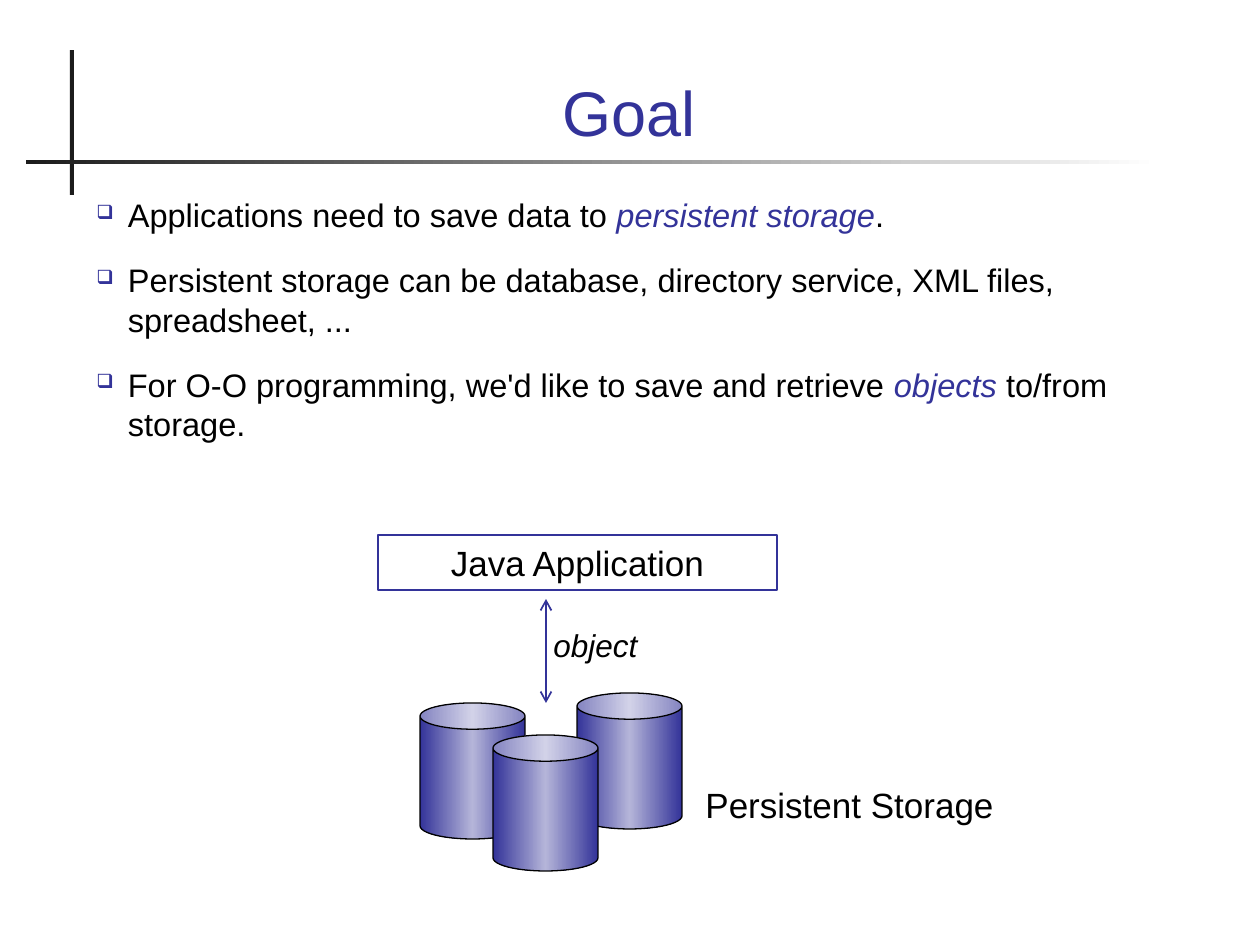
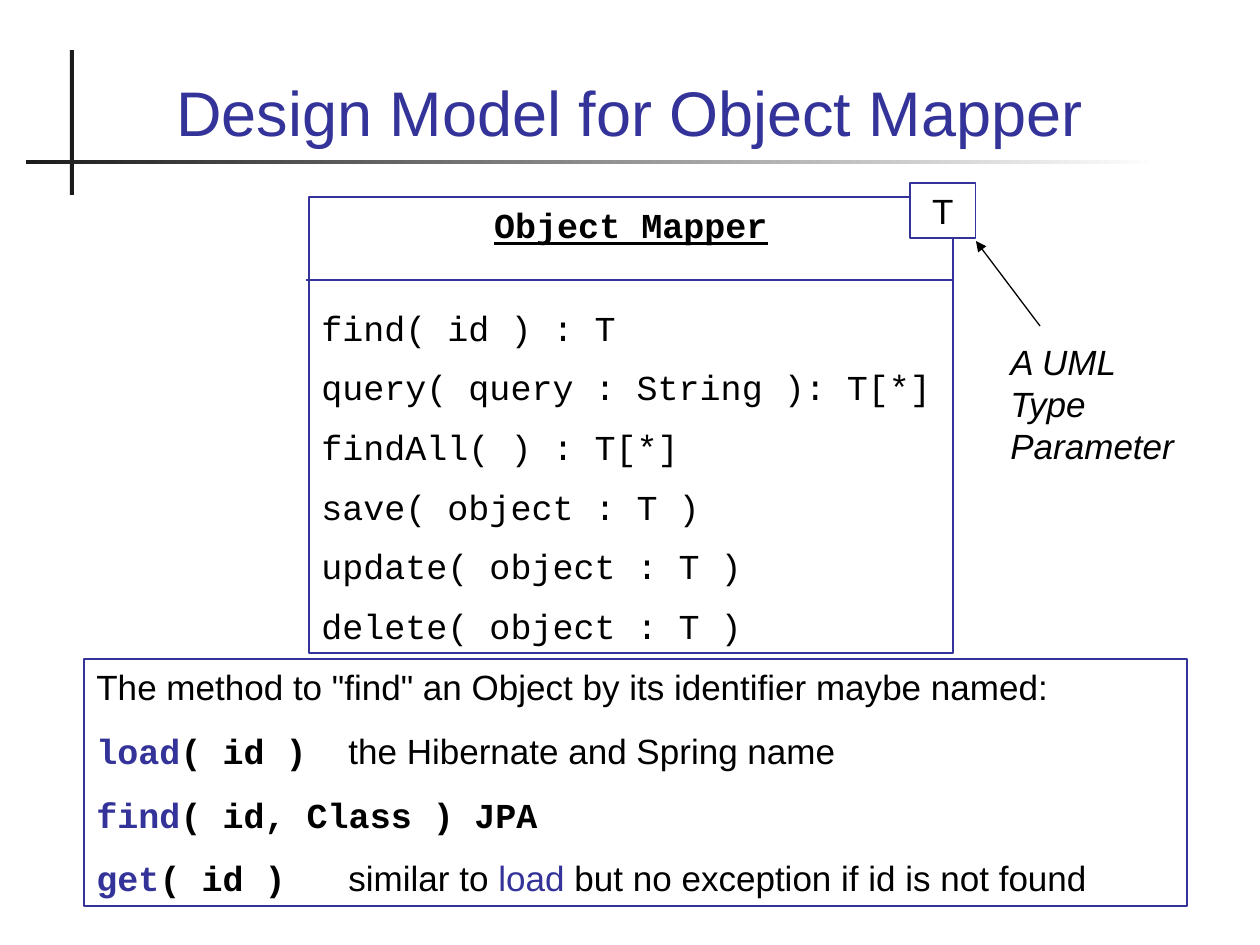
from lxml.etree import SubElement
from pptx import Presentation
from pptx.dml.color import RGBColor
from pptx.enum.shapes import MSO_CONNECTOR, MSO_SHAPE
from pptx.enum.text import MSO_ANCHOR, PP_ALIGN
from pptx.oxml.ns import qn
from pptx.util import Emu, Inches, Pt

# Shared look
COLORS = {"accent": "333399", "can light": "B5B5D9", "rule": "1C1C1C",
          "text": "000000", "paper": "FFFFFF"}
SANS, MONO = "Arial", "Courier New"
TITLE_AREA = (84, 35, 1091, 120)
STYLES = {
    "plain": {},
    "italic": {"italic": True},
    "term": {"italic": True, "color": "accent"},
    "accent": {"color": "accent"},
    "code": {"name": MONO},
    "code bold": {"name": MONO, "bold": True},
    "code name": {"name": MONO, "bold": True, "color": "accent"},
    "class name": {"name": MONO, "bold": True, "underline": True},
}

# Slide 1 content: a paragraph is a list of (text, style) runs
GOAL_BULLETS = [
    [("Applications need to save data to ", "plain"),
     ("persistent storage", "term"), (".", "plain")],
    [("Persistent storage can be database, directory service, XML files, "
      "spreadsheet, ...", "plain")],
    [("For O-O programming, we'd like to save and retrieve ", "plain"),
     ("objects", "term"), (" to/from storage.", "plain")],
]
CAN_SIZE = (105, 136)
CAN_CORNERS = [(420, 703), (577, 693), (493, 735)]

# Slide 2 content
MAPPER_METHODS = [
    "find( id ) : T",
    "query( query : String ): T[*]",
    "findAll( ) : T[*]",
    "save( object : T )",
    "update( object : T )",
    "delete( object : T )",
]
FINDER_NAMES = [
    [('The method to "find" an Object by its identifier maybe named:', "plain")],
    [("load", "code name"), ("( id )\t", "code bold"),
     ("the Hibernate and Spring name", "plain")],
    [("find", "code name"), ("( id, Class )\tJPA", "code bold")],
    [("get", "code name"), ("( id )\t", "code bold"), ("similar to ", "plain"),
     ("load", "accent"), (" but no exception if id is not found", "plain")],
]
FINDER_TABS = (2, 3)  # inches


def px(length):
    return Emu(round(length * 914400 / 126))


def rgb(color):
    return RGBColor.from_string(COLORS[color])


def fill_gradient(shape, colors):
    """Spread the colours evenly from left to right."""
    shape.fill.gradient()
    shape.fill.gradient_angle = 0
    stops = shape._element.spPr.find(qn("a:gradFill")).find(qn("a:gsLst"))
    for stop in list(stops):
        stops.remove(stop)
    for index, color in enumerate(colors):
        position = 100000 * index // (len(colors) - 1)
        stop = SubElement(stops, qn("a:gs"), pos=str(position))
        SubElement(stop, qn("a:srgbClr"), val=COLORS[color])


def add_shape(slide, kind, area, fill=None, line=None):
    shape = slide.shapes.add_shape(kind, *map(px, area))
    shape.shadow.inherit = False
    if isinstance(fill, list):
        fill_gradient(shape, fill)
    elif fill:
        shape.fill.solid()
        shape.fill.fore_color.rgb = rgb(fill)
    else:
        shape.fill.background()
    if line:
        shape.line.color.rgb = rgb(line)
        shape.line.width = Pt(0.75)
    else:
        shape.line.fill.background()
    return shape


def add_line(slide, start, end, color, width=0.75, head=None, tail=None):
    connector = slide.shapes.add_connector(
        MSO_CONNECTOR.STRAIGHT, *map(px, start + end))
    connector.line.color.rgb = rgb(color)
    connector.line.width = Pt(width)
    properties = connector._element.spPr
    outline = properties.find(qn("a:ln"))
    for tag, arrow in (("a:headEnd", head), ("a:tailEnd", tail)):
        if arrow:
            SubElement(outline, qn(tag), type=arrow)
    SubElement(properties, qn("a:effectLst"))


def add_bullet(paragraph):
    properties = paragraph._p.get_or_add_pPr()
    properties.set("marL", str(Inches(0.25)))
    properties.set("indent", str(-Inches(0.25)))
    color = SubElement(properties, qn("a:buClr"))
    SubElement(color, qn("a:srgbClr"), val=COLORS["accent"])
    SubElement(properties, qn("a:buSzPct"), val="60000")
    SubElement(properties, qn("a:buChar"), char="❑")


def add_tabs(paragraph, positions):
    tabs = SubElement(paragraph._p.get_or_add_pPr(), qn("a:tabLst"))
    for position in positions:
        SubElement(tabs, qn("a:tab"), pos=str(Inches(position)), algn="l")


def write(shape, paragraphs, size=20, align=PP_ALIGN.LEFT, gap=0,
          anchor=MSO_ANCHOR.TOP, bullets=False, tabs=()):
    frame = shape.text_frame
    frame.word_wrap = True
    frame.vertical_anchor = anchor
    for index, runs in enumerate(paragraphs):
        paragraph = frame.add_paragraph() if index else frame.paragraphs[0]
        paragraph.alignment = align
        if index:
            paragraph.space_before = Pt(gap)
        if bullets:
            add_bullet(paragraph)
        if tabs:
            add_tabs(paragraph, tabs)
        for text, style in runs:
            run = paragraph.add_run()
            run.text = text
            look = {"name": SANS, "color": "text", **STYLES[style]}
            run.font.size = Pt(size)
            run.font.color.rgb = rgb(look.pop("color"))
            for attribute, value in look.items():
                setattr(run.font, attribute, value)
    return frame


def add_text(slide, area, paragraphs, **options):
    return write(slide.shapes.add_textbox(*map(px, area)), paragraphs, **options)


def add_box(slide, area, paragraphs, fill=None, **options):
    box = add_shape(slide, MSO_SHAPE.RECTANGLE, area, fill, "accent")
    return write(box, paragraphs, **options)


def add_titled_slide(presentation, title):
    slide = presentation.slides.add_slide(presentation.slide_layouts[6])
    add_shape(slide, MSO_SHAPE.RECTANGLE, (70, 50, 4, 145), "rule")
    add_shape(slide, MSO_SHAPE.RECTANGLE, (26, 160, 1133, 4), ["rule", "paper"])
    add_text(slide, TITLE_AREA, [[(title, "accent")]], size=36,
             align=PP_ALIGN.CENTER, anchor=MSO_ANCHOR.BOTTOM)
    return slide


def build_goal(presentation):
    slide = add_titled_slide(presentation, "Goal")
    add_text(slide, (84, 189, 1091, 262), GOAL_BULLETS, size=18.6, gap=15,
             bullets=True)

    # Application above its storage
    add_box(slide, (378, 535, 399, 55), [[("Java Application", "plain")]],
            align=PP_ALIGN.CENTER)
    for corner in CAN_CORNERS:
        add_shape(slide, MSO_SHAPE.CAN, corner + CAN_SIZE,
                  ["accent", "can light", "accent"], "text")
    add_line(slide, (546, 599), (546, 703), "accent", 1, "arrow", "arrow")
    add_text(slide, (541, 620, 179, 50), [[("object", "italic")]], size=18)
    add_text(slide, (693, 777, 357, 55), [[("Persistent Storage", "plain")]])


def build_object_mapper(presentation):
    slide = add_titled_slide(presentation, "Design Model for Object Mapper")

    # Class box with its name, divider and methods
    methods = [[(method, "code")] for method in MAPPER_METHODS]
    frame = add_box(slide, (309, 197, 644, 456),
                    [[("Object Mapper", "class name")]] + methods, gap=10)
    frame.paragraphs[0].alignment = PP_ALIGN.CENTER
    frame.paragraphs[0].space_after = Pt(25)
    add_line(slide, (954, 280), (306, 280), "accent")

    # Type parameter and its label
    add_box(slide, (910, 183, 66, 55), [[("T", "plain")]], fill="paper",
            align=PP_ALIGN.CENTER)
    add_line(slide, (1040, 326), (976, 241), "text", tail="triangle")
    add_text(slide, (998, 334, 199, 139), [[("A UML Type Parameter", "italic")]])

    # Names of the finder method
    add_box(slide, (84, 659, 1103, 247), FINDER_NAMES, gap=12.5, tabs=FINDER_TABS)


def main():
    presentation = Presentation()
    presentation.slide_width, presentation.slide_height = px(1260), px(945)
    build_goal(presentation)
    build_object_mapper(presentation)
    presentation.save("out.pptx")


if __name__ == "__main__":
    main()
